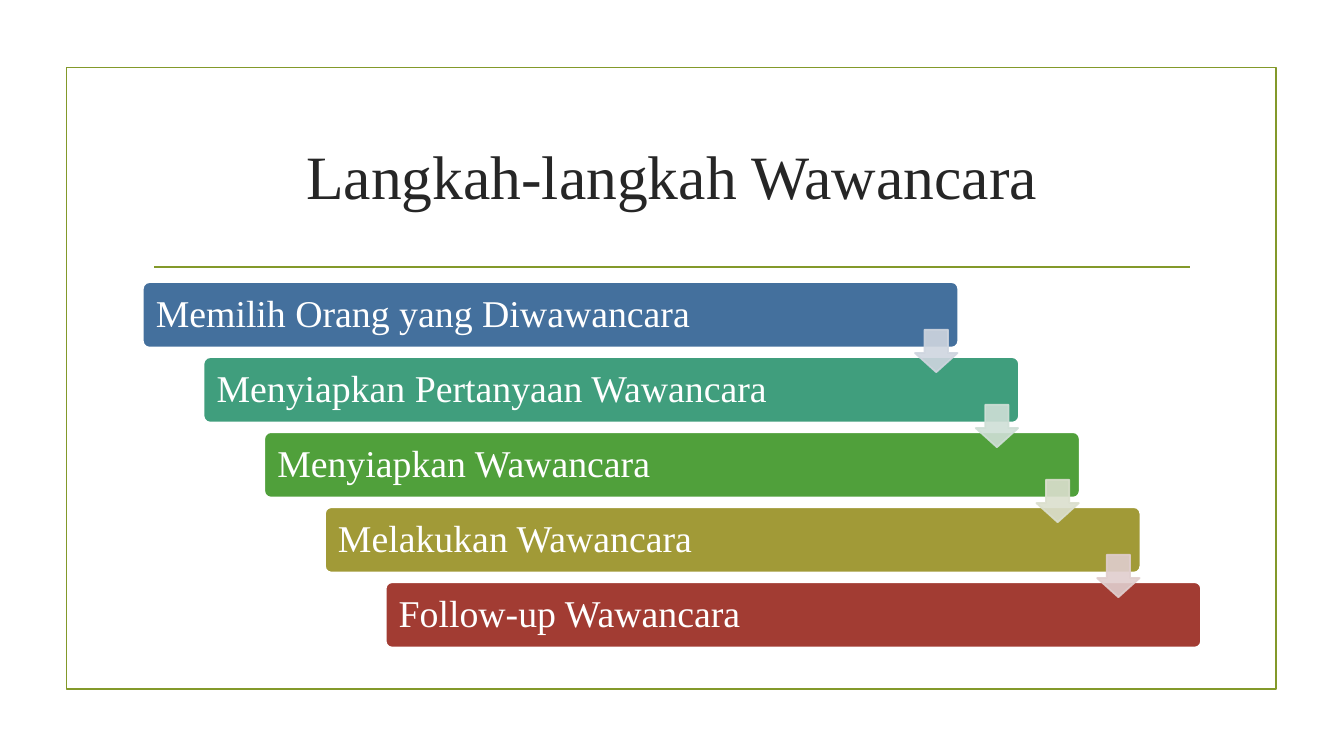
from dataclasses import dataclass

from lxml.etree import SubElement
from pptx import Presentation
from pptx.dml.color import RGBColor
from pptx.enum.shapes import MSO_CONNECTOR, MSO_SHAPE
from pptx.enum.text import MSO_ANCHOR, PP_ALIGN
from pptx.oxml.ns import qn
from pptx.util import Cm, Pt

TITLE = "Langkah-langkah Wawancara"
# Step text, bar colour, colour of the arrow to the next step
STEPS = [
    ("Memilih Orang yang Diwawancara", "44709D", "CFD5DF"),
    ("Menyiapkan Pertanyaan Wawancara", "409E7D", "CFDFD6"),
    ("Menyiapkan Wawancara", "50A03B", "DBDFCE"),
    ("Melakukan Wawancara", "A19A37", "E0CECE"),
    ("Follow-up Wawancara", "A23C33", None),
]


@dataclass(frozen=True)
class Theme:
    font: str = "Times New Roman"
    title_size: float = 44
    step_size: float = 27
    line_width: float = 1.25
    accent: str = "83992A"
    title_color: str = "262626"
    white: str = "FFFFFF"
    arrow_opacity: int = 90


THEME = Theme()

# Lengths in centimetres
SLIDE_SIZE = (33.87, 19.05)
FRAME = (1.68, 1.7, 30.48, 15.67)
TITLE_BOX = (3.6, 2.72, 26.67, 3.63)
RULE_LEFT, RULE_RIGHT, RULE_TOP = 3.89, 30, 6.73
BAR_LEFT, BAR_TOP, BAR_WIDTH, BAR_HEIGHT = 3.6, 7.11, 20.55, 1.65
STEP_X, STEP_Y = 1.53, 1.89
ARROW_X, ARROW_Y, ARROW_SIZE = 19.46, 1.2, 1.07
BAR_INSET = 0.28


def rgb(value):
    return RGBColor.from_string(value)


def add_shape(slide, kind, box, fill, line, adjustments=()):
    shape = slide.shapes.add_shape(kind, *map(Cm, box))
    shape.shadow.inherit = False
    if fill:
        shape.fill.solid()
        shape.fill.fore_color.rgb = rgb(fill)
    else:
        shape.fill.background()
    shape.line.color.rgb = rgb(line)
    shape.line.width = Pt(THEME.line_width)
    for index, value in enumerate(adjustments):
        shape.adjustments[index] = value
    return shape


def write(shape, text, size, color, align, inset):
    frame = shape.text_frame
    frame.word_wrap = True
    frame.vertical_anchor = MSO_ANCHOR.MIDDLE
    frame.margin_left = frame.margin_right = Cm(inset)
    frame.margin_top = frame.margin_bottom = Cm(0)
    paragraph = frame.paragraphs[0]
    paragraph.alignment = align
    paragraph.line_spacing = 0.9
    run = paragraph.add_run()
    run.text = text
    run.font.name = THEME.font
    run.font.size = Pt(size)
    run.font.color.rgb = rgb(color)


def set_opacity(shape, percent):
    """Apply the opacity to both fill and outline."""
    for color in shape.element.spPr.iter(qn("a:srgbClr")):
        SubElement(color, qn("a:alpha")).set("val", str(percent * 1000))


def add_rule(slide):
    rule = slide.shapes.add_connector(
        MSO_CONNECTOR.STRAIGHT,
        Cm(RULE_LEFT), Cm(RULE_TOP), Cm(RULE_RIGHT), Cm(RULE_TOP))
    rule.line.color.rgb = rgb(THEME.accent)
    rule.line.width = Pt(THEME.line_width)
    SubElement(rule.element.spPr, qn("a:effectLst"))


def add_steps(slide):
    corners = [(BAR_LEFT + i * STEP_X, BAR_TOP + i * STEP_Y)
               for i in range(len(STEPS))]
    for (left, top), (text, color, _) in zip(corners, STEPS):
        bar = add_shape(slide, MSO_SHAPE.ROUNDED_RECTANGLE,
                        (left, top, BAR_WIDTH, BAR_HEIGHT),
                        color, THEME.white, [0.1])
        write(bar, text, THEME.step_size, THEME.white,
              PP_ALIGN.LEFT, BAR_INSET)
    for (left, top), (_, _, color) in zip(corners, STEPS):
        if color:
            box = (left + ARROW_X, top + ARROW_Y, ARROW_SIZE, ARROW_SIZE)
            # Head length is 0.45 of the width, shaft width 0.55
            arrow = add_shape(slide, MSO_SHAPE.DOWN_ARROW, box,
                              color, color, [0.55, 0.45])
            set_opacity(arrow, THEME.arrow_opacity)


def main():
    presentation = Presentation()
    presentation.slide_width, presentation.slide_height = map(Cm, SLIDE_SIZE)
    slide = presentation.slides.add_slide(presentation.slide_layouts[6])
    add_shape(slide, MSO_SHAPE.RECTANGLE, FRAME, None, THEME.accent)
    add_rule(slide)
    title = slide.shapes.add_textbox(*map(Cm, TITLE_BOX))
    write(title, TITLE, THEME.title_size, THEME.title_color,
          PP_ALIGN.CENTER, 0.25)
    add_steps(slide)
    presentation.save("out.pptx")


if __name__ == "__main__":
    main()
